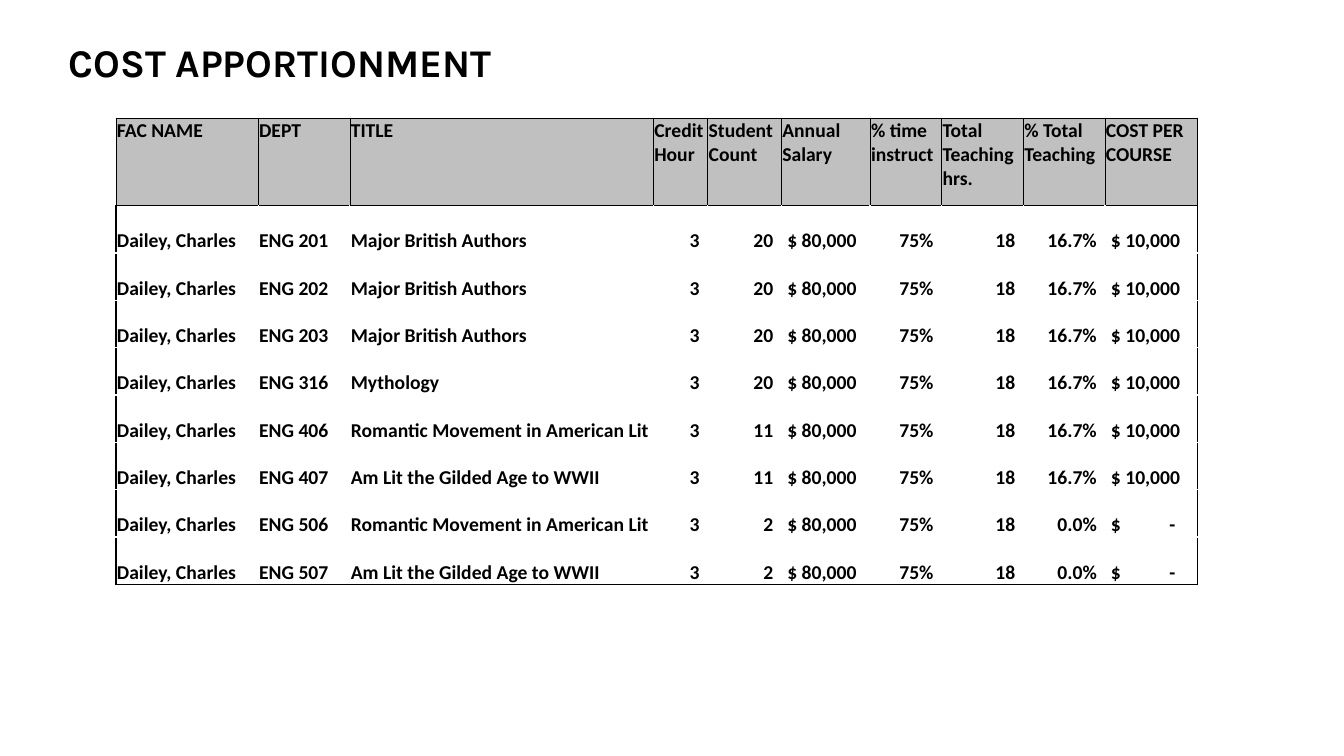
"""Build the cost apportionment slide."""
from lxml import etree
from pptx import Presentation
from pptx.dml.color import RGBColor
from pptx.enum.text import MSO_ANCHOR, MSO_AUTO_SIZE, PP_ALIGN
from pptx.oxml.ns import qn
from pptx.util import Inches, Pt

TOP, BOTTOM = MSO_ANCHOR.TOP, MSO_ANCHOR.BOTTOM
LEFT, RIGHT = PP_ALIGN.LEFT, PP_ALIGN.RIGHT
NO_FIT = MSO_AUTO_SIZE.NONE
COLORS = {"ink": "000000", "head": "C0C0C0"}
HEADS = ["FAC NAME", "DEPT", "TITLE", "Credit Hour", "Student Count",
         "Annual Salary", "% time instruct", "Total Teaching hrs.",
         "% Total Teaching", "COST PER COURSE"]
WIDTHS = [1.41, 0.91, 3.01, 0.54, 0.73, 0.88, 0.71, 0.81, 0.81, 0.92]
NUMBERS = {3, 4, 6, 7, 8}
MONEY = {5, 9}
PAID = ("16.7%", "$ 10,000")
FREE = ("0.0%", "$\t-")
COURSES = [
    ("ENG 201", "Major British Authors", "20", PAID),
    ("ENG 202", "Major British Authors", "20", PAID),
    ("ENG 203", "Major British Authors", "20", PAID),
    ("ENG 316", "Mythology", "20", PAID),
    ("ENG 406", "Romantic Movement in American Lit", "11", PAID),
    ("ENG 407", "Am Lit the Gilded Age to WWII", "11", PAID),
    ("ENG 506", "Romantic Movement in American Lit", "2", FREE),
    ("ENG 507", "Am Lit the Gilded Age to WWII", "2", FREE),
]


def style(para, font, size, align):
    """Format a paragraph and its runs."""
    para.alignment = align
    for run in para.runs:
        run.font.name = font
        run.font.size = Pt(size)
        run.font.bold = True
        run.font.color.rgb = RGBColor.from_string(COLORS["ink"])


def add_title(slide, text):
    """Place and format the title."""
    title = slide.shapes.title
    title.left, title.top = Inches(0.58), Inches(0.33)
    title.width, title.height = Inches(4.83), Inches(1.92)
    frame = title.text_frame
    frame.text = text
    frame.auto_size = NO_FIT
    frame.vertical_anchor = TOP
    style(frame.paragraphs[0], "Karla", 28, LEFT)


def add_edges(cell, edges):
    """Draw cell borders from a dict of side and width."""
    props = cell._tc.get_or_add_tcPr()
    for side in "LRTB":
        if side in edges:
            line = etree.SubElement(props, qn("a:ln" + side),
                                    w=str(Pt(edges[side])))
            fill = etree.SubElement(line, qn("a:solidFill"))
            etree.SubElement(fill, qn("a:srgbClr"), val=COLORS["ink"])


def add_tab(para, place):
    """Set one left tab stop."""
    tabs = etree.SubElement(para._p.get_or_add_pPr(), qn("a:tabLst"))
    etree.SubElement(tabs, qn("a:tab"), pos=str(Inches(place)), algn="l")


def fill_cell(cell, text, edges, align=LEFT, pads=(0.01, 0.01)):
    """Write text in a cell and set its margins and borders."""
    cell.text_frame.text = text
    cell.margin_left, cell.margin_right = map(Inches, pads)
    cell.margin_top, cell.margin_bottom = Inches(0.01), 0
    para = cell.text_frame.paragraphs[0]
    style(para, "Calibri", 14, align)
    if "\t" in text:
        add_tab(para, 0.58)
    add_edges(cell, edges)


def fill_head(table):
    """Fill the grey header row."""
    for col, text in enumerate(HEADS):
        cell = table.cell(0, col)
        fill_cell(cell, text, {"L": 0.5, "R": 0.5, "T": 0.5, "B": 1})
        cell.vertical_anchor = TOP
        cell.fill.solid()
        cell.fill.fore_color.rgb = RGBColor.from_string(COLORS["head"])


def fill_row(table, row, values):
    """Fill a course row, with lines on the outer edges only."""
    ends = {"T": row == 1, "B": row == len(COURSES)}
    for col, text in enumerate(values):
        sides = {"L": col == 0, "R": col == len(HEADS) - 1, **ends}
        edges = {side: 1 for side, shown in sides.items() if shown}
        cell = table.cell(row, col)
        align = RIGHT if col in NUMBERS else LEFT
        pads = (0.06 if col in MONEY else 0.01,
                0.08 if col in NUMBERS else 0.01)
        fill_cell(cell, text, edges, align, pads)
        cell.vertical_anchor = BOTTOM
        cell.fill.background()


def add_costs(slide):
    """Add the table of course costs."""
    heights = [0.87] + [0.47] * len(COURSES)
    table = slide.shapes.add_table(
        len(heights), len(WIDTHS), Inches(1.15), Inches(1.17),
        Inches(sum(WIDTHS)), Inches(sum(heights))).table
    table.horz_banding = False
    for column, width in zip(table.columns, WIDTHS):
        column.width = Inches(width)
    for line, height in zip(table.rows, heights):
        line.height = Inches(height)
    fill_head(table)
    for row, (dept, name, count, cost) in enumerate(COURSES, 1):
        fill_row(table, row, ["Dailey, Charles", dept, name, "3", count,
                              "$ 80,000", "75%", "18", *cost])


def main():
    """Build and save the slide."""
    deck = Presentation()
    deck.slide_width, deck.slide_height = Inches(13.33), Inches(7.5)
    slide = deck.slides.add_slide(deck.slide_layouts[5])
    add_title(slide, "COST APPORTIONMENT")
    add_costs(slide)
    deck.save("out.pptx")


main()
